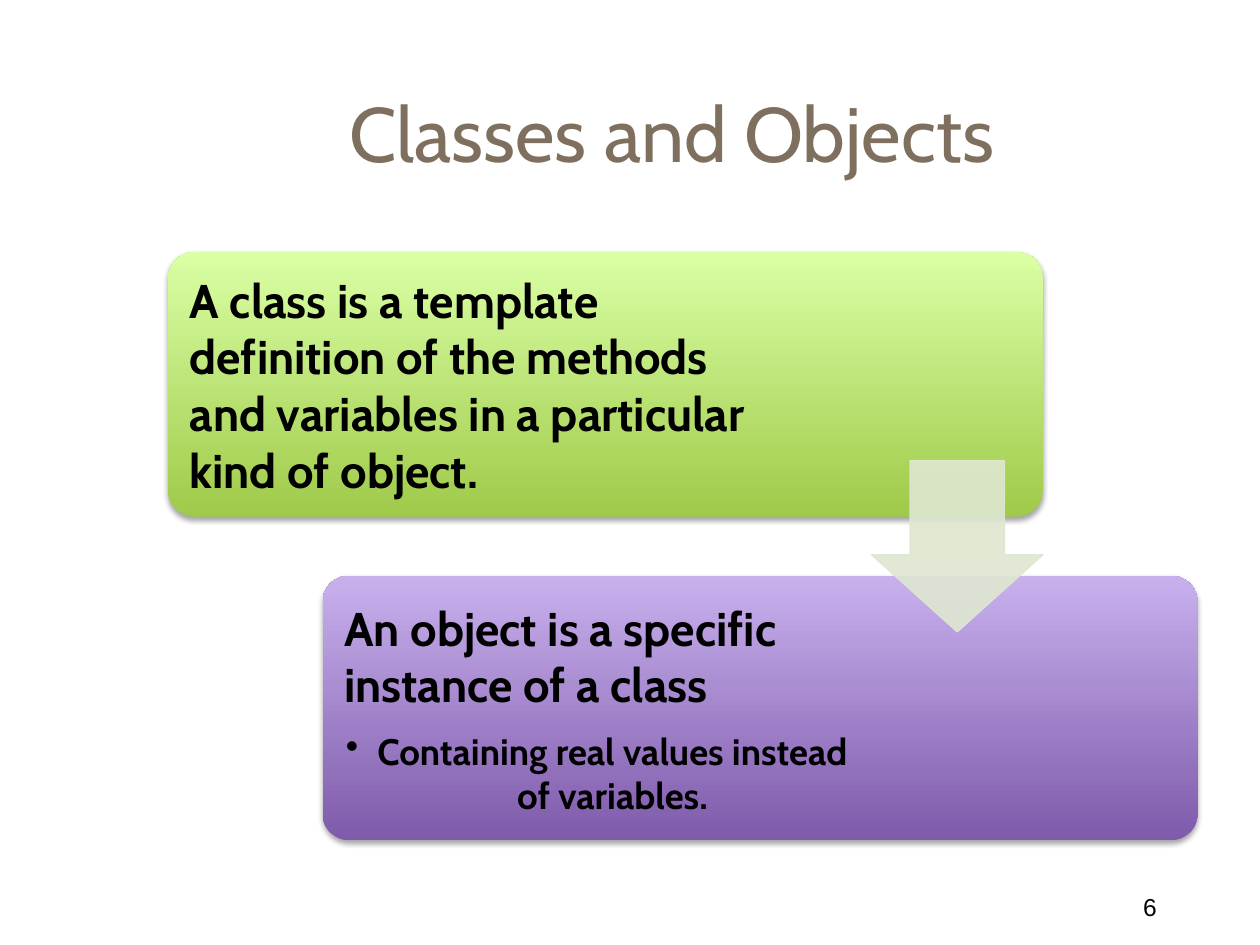
from dataclasses import dataclass

from lxml.etree import SubElement
from pptx import Presentation
from pptx.dml.color import RGBColor
from pptx.enum.shapes import MSO_SHAPE
from pptx.enum.text import MSO_ANCHOR, PP_ALIGN
from pptx.oxml.ns import qn
from pptx.util import Pt

BLACK = RGBColor(0x00, 0x00, 0x00)
TAUPE = RGBColor(0x7F, 0x6F, 0x5E)
GREEN_DARK = RGBColor(0xA0, 0xCA, 0x4A)
GREEN_LIGHT = RGBColor(0xDA, 0xFF, 0xA5)
PURPLE_DARK = RGBColor(0x7F, 0x5B, 0xAB)
PURPLE_LIGHT = RGBColor(0xC8, 0xB0, 0xED)
PALE_GREEN = RGBColor(0xDE, 0xE7, 0xD1)

CARD_LEFT, CARD_TOP = 96, 144
CARD_WIDTH, CARD_HEIGHT = 500, 151.2
STEP_X, STEP_Y = 88.3, 185
CARD_PAD = 4.4
ARROW_SIZE = 98


@dataclass
class Card:
    heading: str
    text_width: float
    dark: RGBColor
    light: RGBColor
    bullet: str = ""


CARDS = [
    Card("A class is a template definition of the methods and variables "
         "in a particular kind of object.", 343.4, GREEN_DARK, GREEN_LIGHT),
    Card("An object is a specific instance of a class", 304.6,
         PURPLE_DARK, PURPLE_LIGHT,
         "Containing real values instead of variables."),
]


def add_text_box(slide, left: float, top: float, width: float, height: float):
    """Add a wrapping, vertically centred text box and return its text frame."""
    tf = slide.shapes.add_textbox(
        Pt(left), Pt(top), Pt(width), Pt(height)).text_frame
    tf.word_wrap = True
    tf.vertical_anchor = MSO_ANCHOR.MIDDLE
    return tf


def style(p, font: str, size: float, color: RGBColor, bold: bool = False,
          align: PP_ALIGN = PP_ALIGN.LEFT) -> None:
    p.alignment = align
    for r in p.runs:
        r.font.name = font
        r.font.size = Pt(size)
        r.font.bold = bold
        r.font.color.rgb = color


def add_shadow(sp) -> None:
    sp.shadow.inherit = False
    effects = sp._element.spPr.find(qn("a:effectLst"))
    shadow = SubElement(effects, qn("a:outerShdw"), blurRad=str(Pt(3.1)),
                        dist=str(Pt(1.8)), dir="5400000", rotWithShape="0")
    color = SubElement(shadow, qn("a:srgbClr"), val=str(BLACK))
    SubElement(color, qn("a:alpha"), val="35000")


def add_bullet(p) -> None:
    pPr = p._p.get_or_add_pPr()
    pPr.set("marL", str(Pt(18)))
    pPr.set("indent", str(Pt(-18)))
    SubElement(pPr, qn("a:buChar"), char="•")


def add_card(slide, card: Card, left: float, top: float) -> None:
    sp = slide.shapes.add_shape(MSO_SHAPE.ROUNDED_RECTANGLE, Pt(left), Pt(top),
                                Pt(CARD_WIDTH), Pt(CARD_HEIGHT))
    sp.adjustments[0] = 0.1
    sp.fill.gradient()
    sp.fill.gradient_angle = 90
    for stop, color in zip(sp.fill.gradient_stops, (card.dark, card.light)):
        stop.color.rgb = color
    sp.line.fill.background()
    add_shadow(sp)

    tf = add_text_box(slide, left + CARD_PAD, top + CARD_PAD,
                      card.text_width, CARD_HEIGHT - 2 * CARD_PAD)
    tf.margin_left = tf.margin_right = Pt(8)
    tf.margin_top = tf.margin_bottom = Pt(8)
    p = tf.paragraphs[0]
    p.text = card.heading
    style(p, "Cabin", 27, BLACK, bold=True)
    if card.bullet:
        p.space_after = Pt(9.5)
        p = tf.add_paragraph()
        p.text = card.bullet
        p.level = 1
        add_bullet(p)
        style(p, "Cabin", 21, BLACK, bold=True, align=PP_ALIGN.CENTER)


def add_arrow(slide, left: float, top: float) -> None:
    sp = slide.shapes.add_shape(MSO_SHAPE.DOWN_ARROW, Pt(left), Pt(top),
                                Pt(ARROW_SIZE), Pt(ARROW_SIZE))
    # Shaft width, then head length
    sp.adjustments[0] = 0.55
    sp.adjustments[1] = 0.45
    sp.shadow.inherit = False
    sp.fill.solid()
    sp.fill.fore_color.rgb = PALE_GREEN
    sp.line.color.rgb = PALE_GREEN
    sp.line.width = Pt(0.75)
    for color in sp._element.spPr.iter(qn("a:srgbClr")):
        SubElement(color, qn("a:alpha"), val="90000")


def main() -> None:
    prs = Presentation()
    prs.slide_width, prs.slide_height = Pt(720), Pt(540)
    slide = prs.slides.add_slide(prs.slide_layouts[6])

    tf = add_text_box(slide, 630, 506, 42, 24)
    tf.margin_right = Pt(11)
    tf.text = "6"
    style(tf.paragraphs[0], "Arial", 14, BLACK, align=PP_ALIGN.RIGHT)

    tf = add_text_box(slide, 78, 30, 612, 90)
    tf.text = "Classes and Objects"
    style(tf.paragraphs[0], "Cabin", 44, TAUPE, align=PP_ALIGN.CENTER)

    for i, card in enumerate(CARDS):
        add_card(slide, card, CARD_LEFT + i * STEP_X, CARD_TOP + i * STEP_Y)

    gap_middle = CARD_TOP + (CARD_HEIGHT + STEP_Y) / 2
    add_arrow(slide, CARD_LEFT + CARD_WIDTH - ARROW_SIZE,
              gap_middle - ARROW_SIZE / 2)

    prs.save("out.pptx")


if __name__ == "__main__":
    main()
